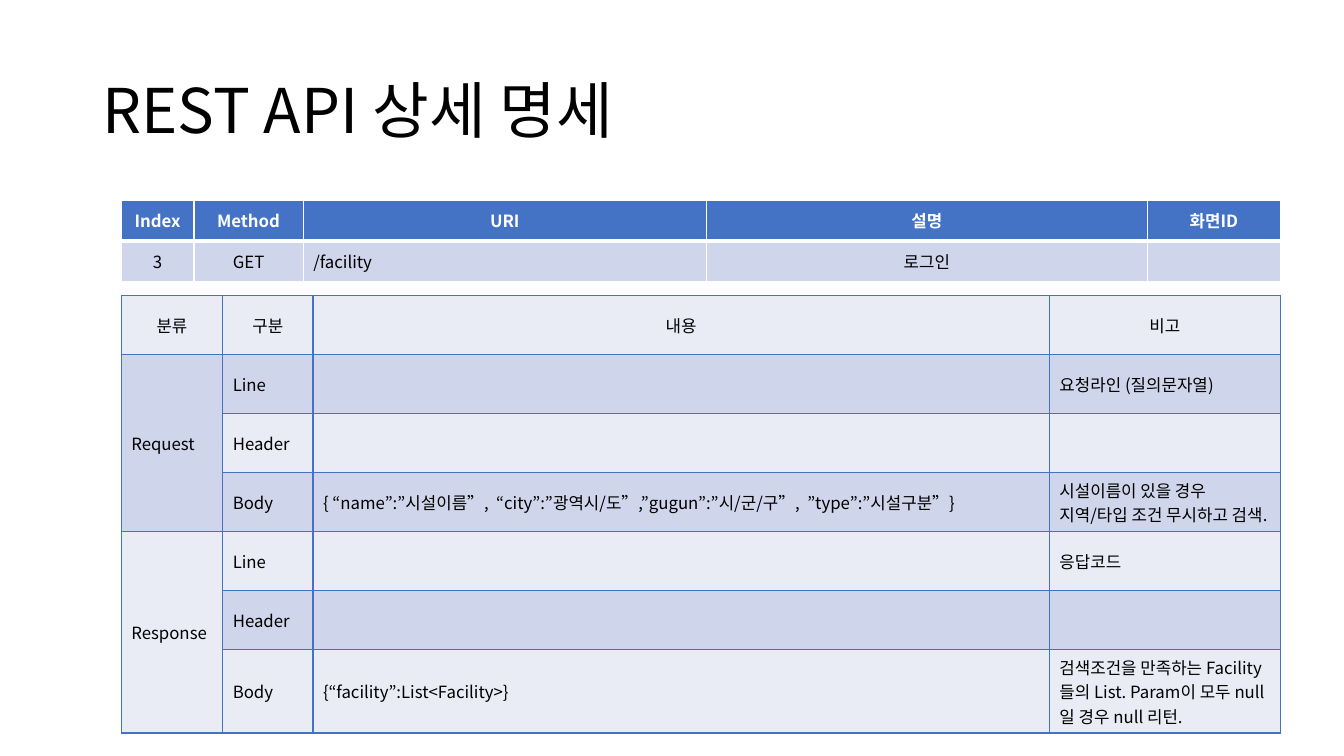
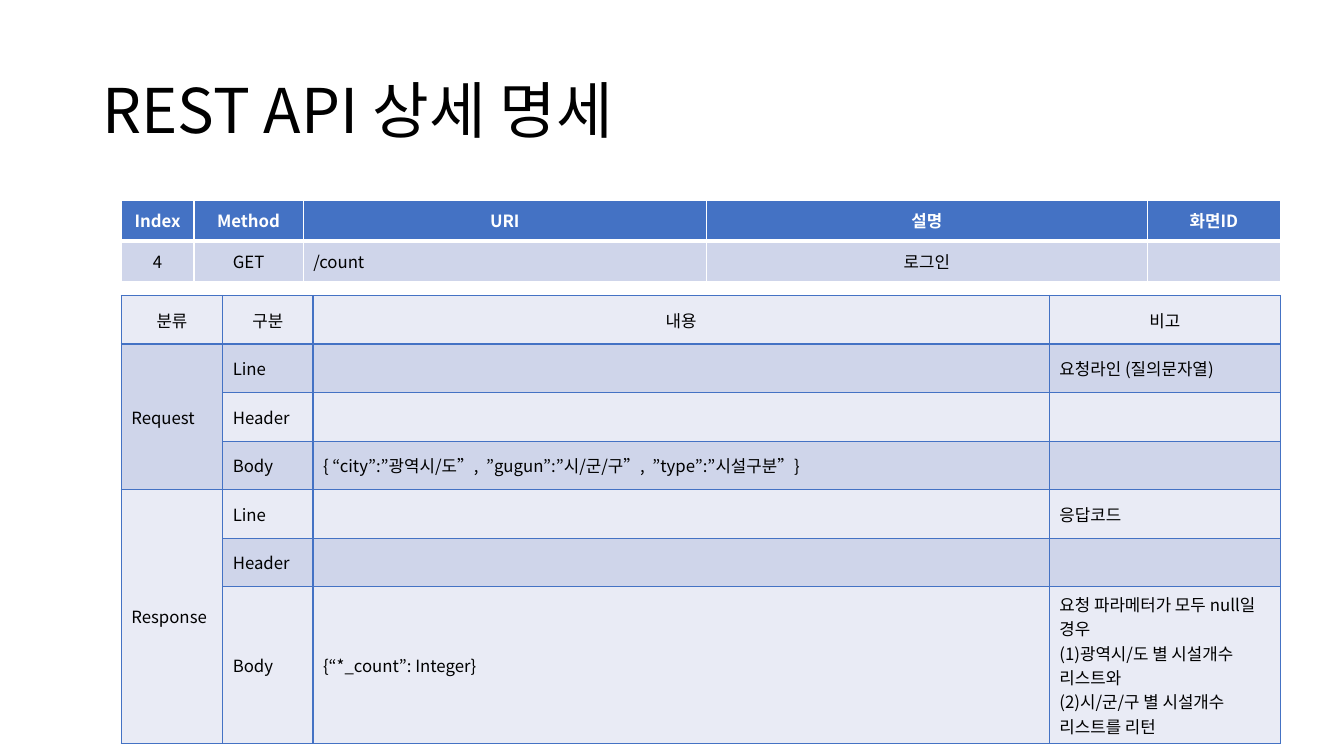
"""Build two REST API specification slides, each with an overview and a detail table."""
from dataclasses import dataclass

from lxml import etree
from pptx import Presentation
from pptx.dml.color import RGBColor
from pptx.enum.text import MSO_ANCHOR, MSO_AUTO_SIZE, PP_ALIGN
from pptx.oxml.ns import qn
from pptx.util import Pt

LEFT, CENTER = PP_ALIGN.LEFT, PP_ALIGN.CENTER
MIDDLE = MSO_ANCHOR.MIDDLE
NO_AUTOFIT = MSO_AUTO_SIZE.NONE
TITLE_ONLY = 5


@dataclass(frozen=True)
class Theme:
    """Shared colours, font and type sizes."""
    font: str = "Noto Sans CJK KR"
    title_size: float = 44
    body_size: float = 12
    text: str = "000000"
    white: str = "FFFFFF"
    accent: str = "4472C4"
    band_dark: str = "CFD5EA"
    band_light: str = "E9EBF5"


THEME = Theme()
TITLE = "REST API 상세 명세"
OVERVIEW_HEADER = ("Index", "Method", "URI", "설명", "화면ID")
DETAIL_HEADER = ("분류", "구분", "내용", "비고")
GROUPS = ("Request", "Response")
PARTS = ("Line", "Header", "Body")
LINE_NOTES = ("요청라인 (질의문자열)", "응답코드")

ENDPOINTS = [
    {
        "overview": ("3", "GET", "/facility", "로그인", ""),
        "bodies": (
            ("{ “name”:”시설이름”,  “city”:”광역시/도”,”gugun”:”시/군/구”,  ”type”:”시설구분”}",
             "시설이름이 있을 경우 지역/타입 조건 무시하고 검색."),
            ("{“facility”:List<Facility>}",
             "검색조건을 만족하는 Facility들의 List. Param이 모두 null일 경우 null 리턴."),
        ),
        "row_height": 42.2,
        "last_height": 42.2,
    },
    {
        "overview": ("4", "GET", "/count", "로그인", ""),
        "bodies": (
            ("{ “city”:”광역시/도”,  ”gugun”:”시/군/구”,  ”type”:”시설구분”}", ""),
            ("{“*_count”: Integer}",
             "요청 파라메터가 모두 null일 경우\n"
             "(1)광역시/도 별 시설개수 리스트와\n"
             "(2)시/군/구 별 시설개수 리스트를 리턴"),
        ),
        "row_height": 34.7,
        "last_height": 101.5,
    },
]

SLIDE_SIZE = (960, 540)
TITLE_BOX = (66, 28.75, 828, 104.4)
TABLE_LEFT = 86.6
OVERVIEW_TOP, DETAIL_TOP = 142.8, 211
OVERVIEW_COLS = (52, 78, 288, 315, 95)
DETAIL_COLS = (72.5, 64.5, 526, 165)
OVERVIEW_ROW = 29.3
THIN, THICK = 1, 3


def style_text(frame, size, color, align, bold=False):
    """Format every paragraph and run of a text frame."""
    for paragraph in frame.paragraphs:
        paragraph.alignment = align
        for run in paragraph.runs:
            font = run.font
            font.size, font.bold, font.name = Pt(size), bold, THEME.font
            font.color.rgb = RGBColor.from_string(color)
            east_asian = etree.SubElement(font._element, qn("a:ea"))
            east_asian.set("typeface", THEME.font)
        if not paragraph.runs:
            end = etree.SubElement(paragraph._p, qn("a:endParaRPr"))
            end.set("sz", str(int(size * 100)))


def set_borders(cell, color, widths):
    """Draw the left, right, top and bottom borders of a cell."""
    properties = cell._tc.get_or_add_tcPr()
    for side, width in zip("LRTB", widths):
        line = etree.SubElement(properties, qn(f"a:ln{side}"), w=str(Pt(width)))
        fill = etree.SubElement(line, qn("a:solidFill"))
        etree.SubElement(fill, qn("a:srgbClr"), val=color)


def style_cell(cell, text, fill, color, align, border, widths, bold=False):
    """Fill one table cell with formatted text."""
    cell.text_frame.text = text
    cell.vertical_anchor = MIDDLE
    style_text(cell.text_frame, THEME.body_size, color, align, bold)
    set_borders(cell, border, widths)
    cell.fill.solid()
    cell.fill.fore_color.rgb = RGBColor.from_string(fill)


def add_grid(slide, top, widths, heights):
    """Add an unstyled table with the given column widths and row heights."""
    frame = slide.shapes.add_table(len(heights), len(widths), Pt(TABLE_LEFT), Pt(top),
                                   Pt(sum(widths)), Pt(sum(heights)))
    table = frame.table
    table.first_row = table.horz_banding = False
    for column, width in zip(table.columns, widths):
        column.width = Pt(width)
    for row, height in zip(table.rows, heights):
        row.height = Pt(height)
    return table


def add_title(slide):
    """Place and format the title placeholder."""
    title = slide.shapes.title
    title.left, title.top, title.width, title.height = map(Pt, TITLE_BOX)
    frame = title.text_frame
    frame.text = TITLE
    frame.word_wrap = True
    frame.auto_size = NO_AUTOFIT
    frame.vertical_anchor = MIDDLE
    frame.paragraphs[0].line_spacing = 0.9
    style_text(frame, THEME.title_size, THEME.text, LEFT)


def add_overview(slide, values):
    """Add the endpoint summary table."""
    table = add_grid(slide, OVERVIEW_TOP, OVERVIEW_COLS, (OVERVIEW_ROW,) * 2)
    uri = OVERVIEW_HEADER.index("URI")
    for c, (heading, value) in enumerate(zip(OVERVIEW_HEADER, values)):
        style_cell(table.cell(0, c), heading, THEME.accent, THEME.white, CENTER,
                   THEME.white, (THIN, THIN, THIN, THICK), bold=True)
        style_cell(table.cell(1, c), value, THEME.band_dark, THEME.text,
                   LEFT if c == uri else CENTER,
                   THEME.white, (THIN, THIN, THICK, THIN))


def detail_rows(bodies):
    """Return the header and the request and response rows."""
    rows = [DETAIL_HEADER]
    for group, line_note, body in zip(GROUPS, LINE_NOTES, bodies):
        contents = (("", line_note), ("", ""), body)
        for i, (part, content) in enumerate(zip(PARTS, contents)):
            rows.append(("" if i else group, part, *content))
    return rows


def add_detail(slide, endpoint):
    """Add the request and response table."""
    rows = detail_rows(endpoint["bodies"])
    heights = [endpoint["row_height"]] * (len(rows) - 1) + [endpoint["last_height"]]
    table = add_grid(slide, DETAIL_TOP, DETAIL_COLS, heights)
    for r, row in enumerate(rows):
        for c, text in enumerate(row):
            style_cell(table.cell(r, c), text,
                       THEME.band_dark if r % 2 else THEME.band_light,
                       THEME.text, LEFT if r else CENTER, THEME.accent, (THIN,) * 4)
    for first in range(1, len(rows), len(PARTS)):
        table.cell(first, 0).merge(table.cell(first + len(PARTS) - 1, 0))


def main():
    """Build and save the presentation."""
    deck = Presentation()
    deck.slide_width, deck.slide_height = map(Pt, SLIDE_SIZE)
    for endpoint in ENDPOINTS:
        slide = deck.slides.add_slide(deck.slide_layouts[TITLE_ONLY])
        add_title(slide)
        add_overview(slide, endpoint["overview"])
        add_detail(slide, endpoint)
    deck.save("out.pptx")


if __name__ == "__main__":
    main()
